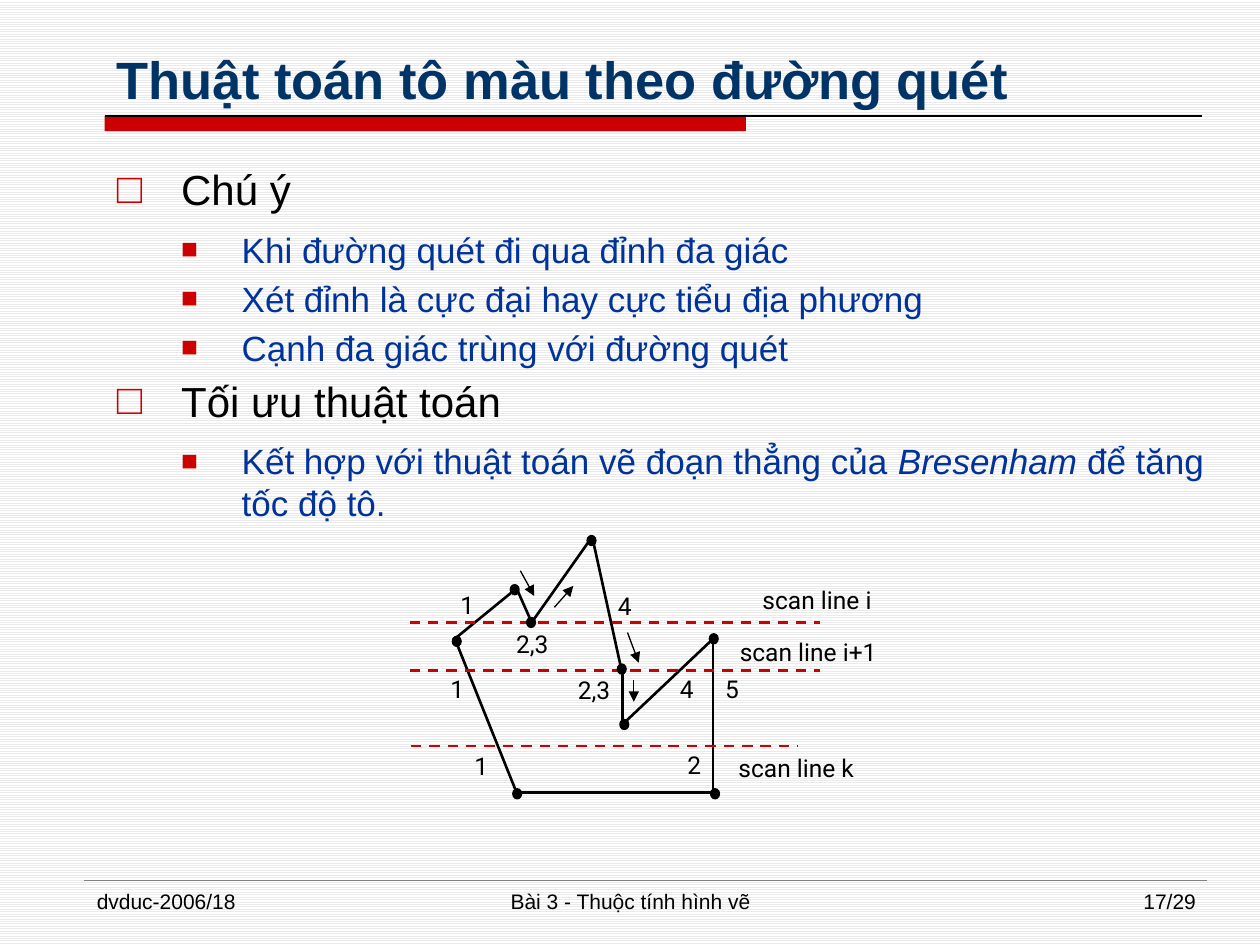
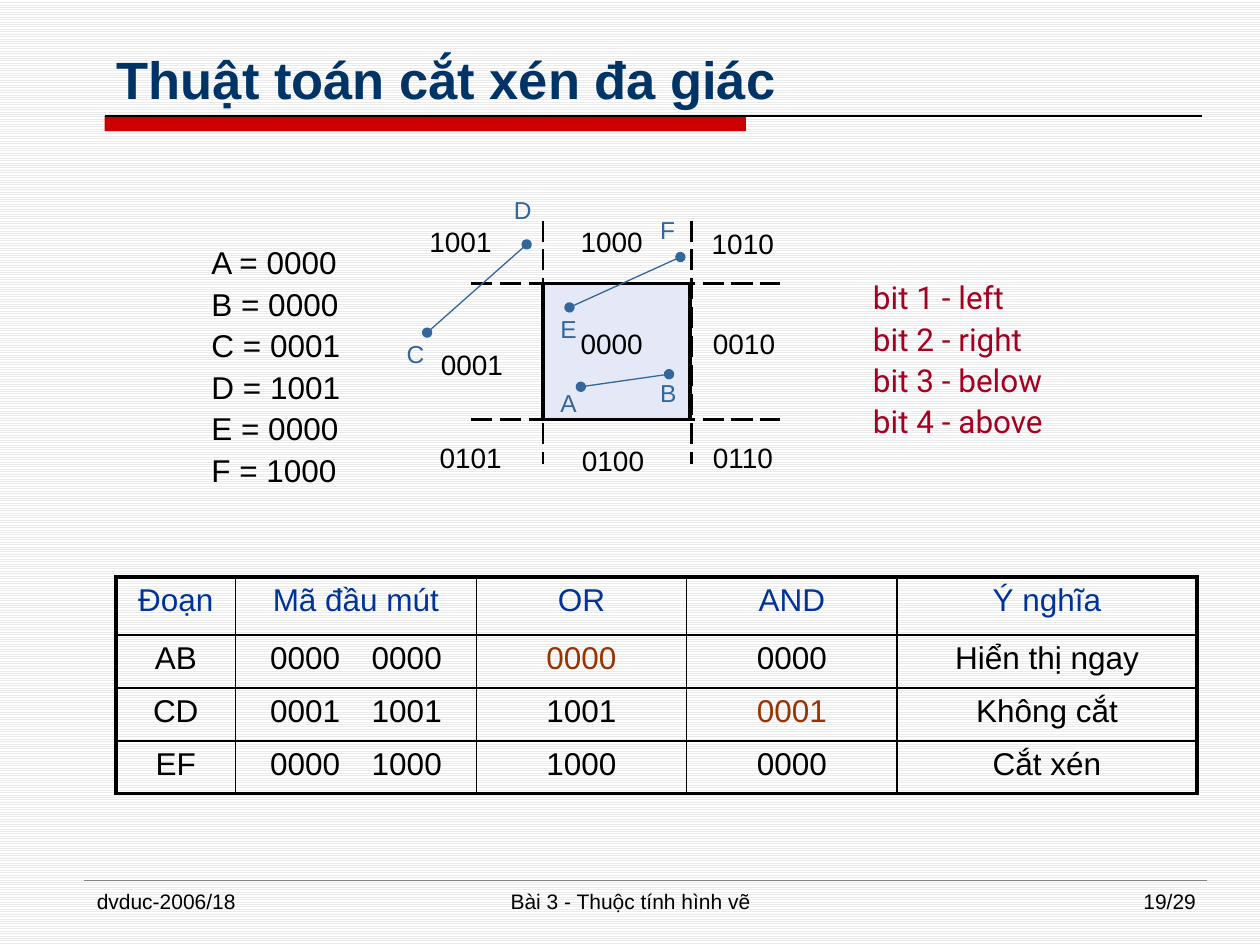
from lxml.etree import SubElement
from pptx import Presentation
from pptx.dml.color import RGBColor
from pptx.enum.dml import MSO_LINE, MSO_PATTERN
from pptx.enum.shapes import MSO_CONNECTOR, MSO_SHAPE
from pptx.enum.text import MSO_ANCHOR, PP_ALIGN
from pptx.oxml.ns import qn
from pptx.util import Inches, Pt

# Shared look
BLACK, RED, NAVY, BLUE = "000000", "CC0000", "003366", "003399"
STEEL, CRIMSON, BROWN, PALE, GRAY = "336699", "A50021", "993300", "E5E9F7", "808080"
LEFT, CENTER, RIGHT = PP_ALIGN.LEFT, PP_ALIGN.CENTER, PP_ALIGN.RIGHT
DATE, LESSON = "dvduc-2006/18", "Bài 3 - Thuộc tính hình vẽ"

# Slide 1: outline as (level, runs); every second run is italic
OUTLINE = [
    (0, ["Chú ý"]),
    (1, ["Khi đường quét đi qua đỉnh đa giác"]),
    (1, ["Xét đỉnh là cực đại hay cực tiểu địa phương"]),
    (1, ["Cạnh đa giác trùng với đường quét"]),
    (0, ["Tối ưu thuật toán"]),
    (1, ["Kết hợp với thuật toán vẽ đoạn thẳng của ", "Bresenham ",
         "để tăng tốc độ tô."]),
]
LEVELS = [  # indent, hanging, size, colour, bullet, bullet size %, space after
    (0.51, 0.51, 24, BLACK, "□", 100, 4),
    (0.99, 0.48, 20, BLUE, "■", 80, 0),
]
# Polygon corners, and the top left of the dot on each
CORNERS = [(3.61, 5.07), (4.1, 4.67), (4.22, 4.94), (4.7, 4.26), (4.94, 5.35),
           (4.94, 5.75), (5.66, 5.07), (5.66, 6.29), (4.1, 6.29)]
DOTS = [(3.59, 5.05), (4.05, 4.64), (4.18, 4.9), (4.66, 4.25), (4.9, 5.27),
        (4.92, 5.71), (5.63, 5.03), (5.64, 6.26), (4.07, 6.26)]
SCAN_LINES = [(3.25, 6.51, 4.94), (3.25, 6.51, 5.32), (3.26, 6.33, 5.92)]
DIRECTIONS = [(4.13, 4.53, 4.24, 4.73), (4.4, 4.82, 4.55, 4.65),
              (4.98, 5.02, 5.07, 5.26), (5.03, 5.4, 5.03, 5.57)]
SCAN_LABELS = [  # text, left, top, width
    ("1", 3.53, 4.63, 0.36), ("2,3", 3.87, 4.94, 0.71), ("4", 4.78, 4.64, 0.36),
    ("1", 3.45, 5.3, 0.36), ("2,3", 4.38, 5.31, 0.67), ("4", 5.27, 5.3, 0.36),
    ("5", 5.63, 5.3, 0.36), ("1", 3.65, 5.91, 0.34), ("2", 5.34, 5.9, 0.34),
    ("scan line i", 5.88, 4.59, 1.21), ("scan line i+1", 5.75, 5.01, 1.33),
    ("scan line k", 5.75, 5.93, 1.14),
]

# Slide 2: clipping window, region codes and segments
WINDOW = (4.31, 2.25, 1.17, 1.08)
GUIDES = [(4.31, 1.75, 4.31, 3.68), (5.49, 1.75, 5.49, 3.68),
          (3.74, 2.25, 6.19, 2.25), (3.74, 3.33, 6.19, 3.33)]
REGIONS = [("1001", 3.31, 1.73), ("1000", 4.51, 1.73), ("1010", 5.55, 1.75),
           ("0001", 3.4, 2.71), ("0000", 4.51, 2.54), ("0010", 5.56, 2.54),
           ("0101", 3.39, 3.45), ("0100", 4.52, 3.47), ("0110", 5.56, 3.45)]
SEGMENTS = [(4.61, 3.07, 5.31, 2.97), (4.18, 1.94, 3.39, 2.64),
            (4.52, 2.44, 5.4, 2.04)]
ENDPOINTS = [("A", 4.35, 3.03), ("B", 5.14, 2.95), ("C", 3.13, 2.64),
             ("D", 3.98, 1.5), ("E", 4.35, 2.44), ("F", 5.14, 1.66)]
CODES = ["A = 0000", "B = 0000", "C = 0001", "D = 1001", "E = 0000", "F = 1000"]
BITS = ["bit 1 - left", "bit 2 - right", "bit 3 - below", "bit 4 - above"]
TABLE = [
    ["Đoạn", "Mã đầu mút", "OR", "AND", "Ý nghĩa"],
    ["AB", "0000\u20030000", "0000", "0000", "Hiển thị ngay"],
    ["CD", "0001\u20031001", "1001", "0001", "Không cắt"],
    ["EF", "0000\u20031000", "1000", "0000", "Cắt xén"],
]
DECISIVE = {(1, 2), (2, 3)}  # cells that settle the case
COL_WIDTHS = [0.95, 1.91, 1.67, 1.67, 2.38]
ROW_HEIGHTS = [0.46, 0.42, 0.42, 0.42]


def rgb(color):
    return RGBColor.from_string(color)


def style(r, size, color, font="Arial", bold=False, italic=False):
    r.font.size, r.font.name = Pt(size), font
    r.font.bold, r.font.italic = bold, italic
    r.font.color.rgb = rgb(color)


def add_text(slide, lines, box, size, color=BLACK, font="Arial", align=LEFT,
             bold=False, wrap=True, gap=0, spacing=None):
    tf = slide.shapes.add_textbox(*map(Inches, box)).text_frame
    tf.word_wrap = wrap
    tf.text = "\n".join(lines)
    for p in tf.paragraphs:
        p.alignment, p.line_spacing = align, spacing
        p.space_before = p.space_after = Pt(gap)
        style(p.runs[0], size, color, font, bold)
    return tf


def add_line(slide, ends, color, width, dash=None, head=None, tail=None):
    sp = slide.shapes.add_connector(MSO_CONNECTOR.STRAIGHT, *map(Inches, ends))
    sp.line.color.rgb, sp.line.width = rgb(color), Pt(width)
    if dash:
        sp.line.dash_style = dash
    ln = sp.line._get_or_add_ln()
    for tag, kind in (("a:headEnd", head), ("a:tailEnd", tail)):
        if kind:
            SubElement(ln, qn(tag), type=kind)
    SubElement(sp._element.spPr, qn("a:effectLst"))


def add_block(slide, kind, box, fill, line=None, width=0.75):
    sp = slide.shapes.add_shape(kind, *map(Inches, box))
    sp.shadow.inherit = False
    sp.fill.solid()
    sp.fill.fore_color.rgb = rgb(fill)
    if line:
        sp.line.color.rgb, sp.line.width = rgb(line), Pt(width)
    else:
        sp.line.fill.background()


def add_bullet(p, indent, hanging, color, char, percent):
    pPr = p._p.get_or_add_pPr()
    pPr.set("marL", str(Inches(indent)))
    pPr.set("indent", str(-Inches(hanging)))
    SubElement(SubElement(pPr, qn("a:buClr")), qn("a:srgbClr"), val=color)
    SubElement(pPr, qn("a:buSzPct"), val=str(percent * 1000))
    SubElement(pPr, qn("a:buFont"), typeface="Arial")
    SubElement(pPr, qn("a:buChar"), char=char)


def add_border(cell, side, width):
    ln = SubElement(cell._tc.get_or_add_tcPr(), qn("a:ln" + side),
                    w=str(Pt(width)))
    SubElement(SubElement(ln, qn("a:solidFill")), qn("a:srgbClr"), val=BLACK)


def new_slide(prs, title, number):
    slide = prs.slides.add_slide(prs.slide_layouts[6])
    fill = slide.background.fill
    fill.patterned()
    fill.pattern = MSO_PATTERN.LIGHT_HORIZONTAL
    fill.fore_color.rgb, fill.back_color.rgb = rgb("EAEAEA"), rgb("FFFFFF")
    # Title band and footer
    add_block(slide, MSO_SHAPE.RECTANGLE, (0.83, 0.92, 5.09, 0.12), RED)
    add_line(slide, (0.83, 0.92, 9.54, 0.92), BLACK, 0.75)
    add_line(slide, (0.67, 6.99, 9.58, 6.99), GRAY, 0.25)
    tf = add_text(slide, [title], (0.83, 0.17, 9, 0.75), 30, NAVY, bold=True)
    tf.vertical_anchor = MSO_ANCHOR.BOTTOM
    for text, left, width, align in ((DATE, 0.67, 2.17, LEFT),
                                     (LESSON, 3.42, 3.17, CENTER),
                                     (number, 7.42, 2.17, RIGHT)):
        add_text(slide, [text], (left, 7, width, 0.35), 12, align=align)
    return slide


prs = Presentation()
prs.slide_width, prs.slide_height = Inches(10), Inches(7.5)

# Slide 1: outline
slide = new_slide(prs, "Thuật toán tô màu theo đường quét", "17/29")
tf = slide.shapes.add_textbox(*map(Inches, (0.83, 1.25, 9, 5.58))).text_frame
tf.word_wrap = True
for i, (level, parts) in enumerate(OUTLINE):
    indent, hanging, size, color, char, percent, after = LEVELS[level]
    p = tf.add_paragraph() if i else tf.paragraphs[0]
    p.level, p.space_before, p.space_after = level, Pt(4), Pt(after)
    add_bullet(p, indent, hanging, RED, char, percent)
    for j, part in enumerate(parts):
        r = p.add_run()
        r.text = part
        style(r, size, color, italic=j % 2 == 1)

# Slide 1: polygon and scan lines
for start, end in zip(CORNERS, CORNERS[1:] + CORNERS[:1]):
    add_line(slide, start + end, BLACK, 1.5)
for x1, x2, y in SCAN_LINES:
    add_line(slide, (x1, y, x2, y), RED, 1.5, MSO_LINE.DASH)
for dot in DOTS:
    add_block(slide, MSO_SHAPE.OVAL, dot + (0.07, 0.08), BLACK, BLACK)
for text, left, top, width in SCAN_LABELS:
    add_text(slide, [text], (left, top, width, 0.41), 14, font="Roboto",
             align=CENTER)
for ends in DIRECTIONS:
    add_line(slide, ends, BLACK, 0.75, tail="triangle")

# Slide 2: clipping window
slide = new_slide(prs, "Thuật toán cắt xén đa giác", "19/29")
add_text(slide, BITS, (6.83, 2.16, 1.92, 1.43), 18, CRIMSON, "Roboto", gap=1)
add_block(slide, MSO_SHAPE.RECTANGLE, WINDOW, PALE, BLACK, 2.25)
for ends in GUIDES:
    add_line(slide, ends, BLACK, 1.5, MSO_LINE.LONG_DASH)
for text, left, top in REGIONS:
    add_text(slide, [text], (left, top, 0.69, 0.37), 16, wrap=False)
for ends in SEGMENTS:
    add_line(slide, ends, STEEL, 0.75, head="oval", tail="oval")
for text, left, top in ENDPOINTS:
    add_text(slide, [text], (left, top, 0.33, 0.33), 14, STEEL, wrap=False)
add_text(slide, CODES, (1.58, 1.85, 1.23, 2.1), 18, wrap=False, spacing=1.1)

# Slide 2: table
rows, cols = len(TABLE), len(TABLE[0])
table = slide.shapes.add_table(rows, cols, *map(Inches, (
    0.92, 4.58, sum(COL_WIDTHS), sum(ROW_HEIGHTS)))).table
table.first_row = table.horz_banding = False
for col, width in zip(table.columns, COL_WIDTHS):
    col.width = Inches(width)
for row, height in zip(table.rows, ROW_HEIGHTS):
    row.height = Inches(height)
for i, texts in enumerate(TABLE):
    for j, text in enumerate(texts):
        cell = table.cell(i, j)
        p = cell.text_frame.paragraphs[0]
        p.text, p.alignment = text, CENTER
        color = BROWN if (i, j) in DECISIVE else BLACK if i else BLUE
        style(p.runs[0], 18, color)
        outer = {"L": j == 0, "R": j == cols - 1, "T": i == 0, "B": i == rows - 1}
        for side, is_outer in outer.items():
            add_border(cell, side, 2.25 if is_outer else 1)
        cell.fill.background()

prs.save("out.pptx")
